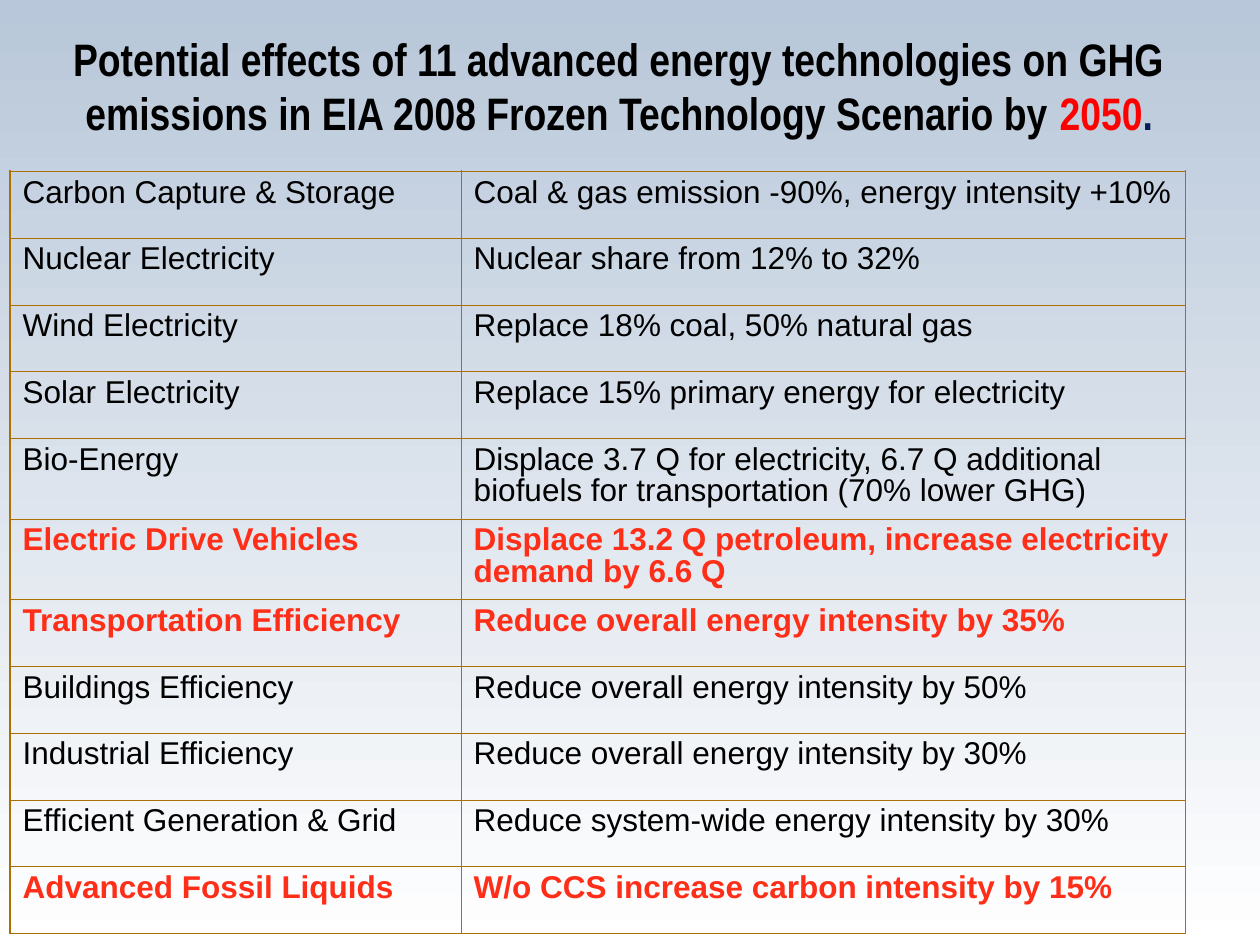
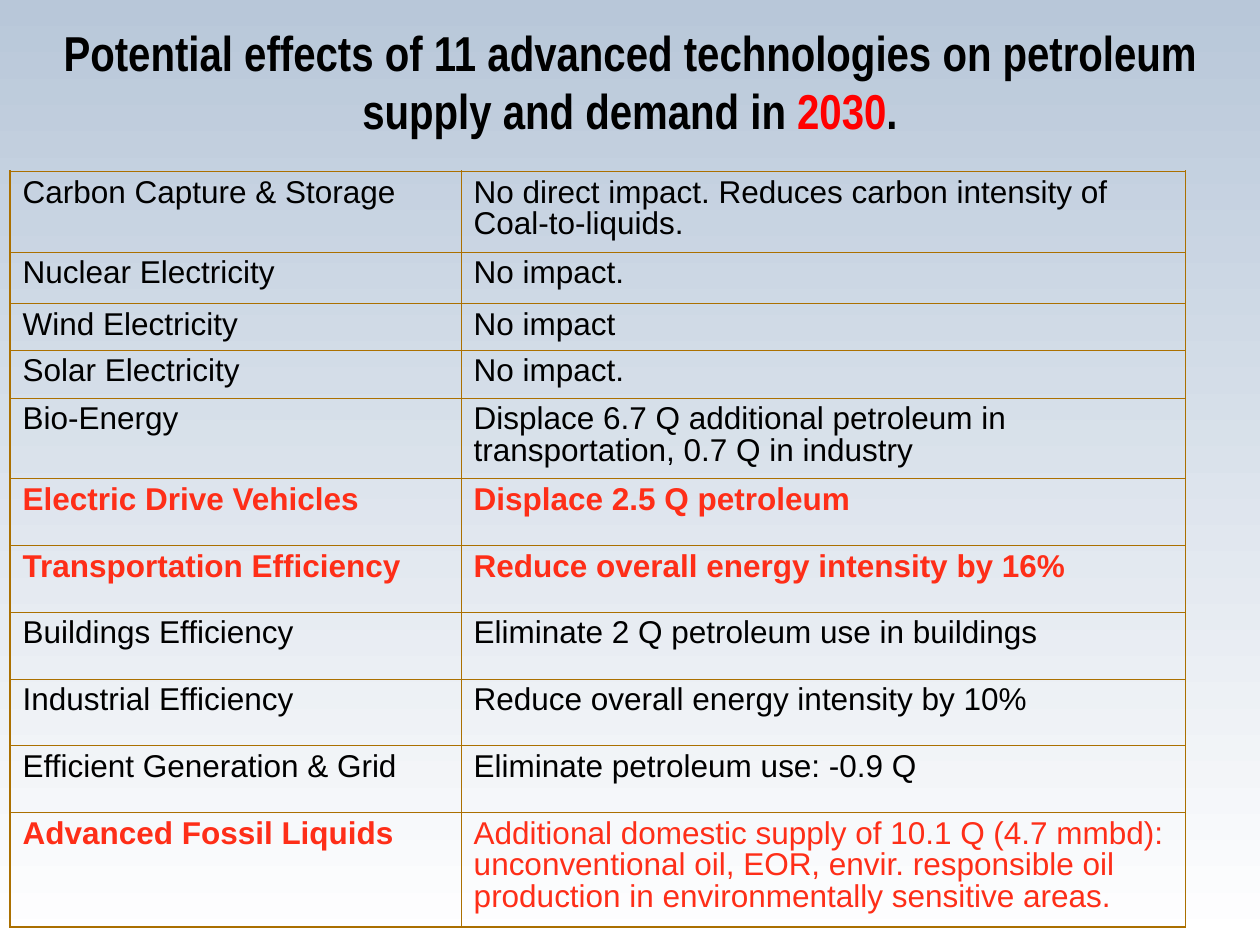
from lxml import etree
from pptx import Presentation
from pptx.dml.color import RGBColor
from pptx.enum.text import MSO_ANCHOR, MSO_AUTO_SIZE, PP_ALIGN
from pptx.oxml.ns import qn
from pptx.util import Inches, Pt

BOTTOM = MSO_ANCHOR.BOTTOM
NO_AUTOFIT = MSO_AUTO_SIZE.NONE
CENTER = PP_ALIGN.CENTER

SKY, WHITE, BLACK, NAVY = "B8C7D9", "FFFFFF", "000000", "081D58"
YEAR_RED, ROW_RED, RULE = "FF0000", "FE2E18", "AB7000"
OUTER_RULE, INNER_RULE = Pt(1.08), Pt(0.45)
TITLE_ONLY = 5

TECHNOLOGIES = [
    "Carbon Capture & Storage", "Nuclear Electricity", "Wind Electricity",
    "Solar Electricity", "Bio-Energy", "Electric Drive Vehicles",
    "Transportation Efficiency", "Buildings Efficiency",
    "Industrial Efficiency", "Efficient Generation & Grid",
    "Advanced Fossil Liquids",
]
HIGHLIGHTED = {
    "Electric Drive Vehicles", "Transportation Efficiency",
    "Advanced Fossil Liquids",
}
COLUMN_WIDTHS = [3.58, 5.75]
TABLE_LEFT, TABLE_TOP = 0.08, 1.36

GHG_EFFECTS = [
    "Coal & gas emission -90%, energy intensity +10%",
    "Nuclear share from 12% to 32%",
    "Replace 18% coal, 50% natural gas",
    "Replace 15% primary energy for electricity",
    "Displace 3.7 Q for electricity, 6.7 Q additional biofuels for "
    "transportation (70% lower GHG)",
    "Displace 13.2 Q petroleum, increase electricity demand by 6.6 Q",
    "Reduce overall energy intensity by 35%",
    "Reduce overall energy intensity by 50%",
    "Reduce overall energy intensity by 30%",
    "Reduce system-wide energy intensity by 30%",
    "W/o CCS increase carbon intensity by 15%",
]
GHG_HEIGHTS = [0.53] * 4 + [0.64] * 2 + [0.53] * 5

PETROLEUM_EFFECTS = [
    "No direct impact. Reduces carbon intensity of Coal-to-liquids.",
    "No impact.",
    "No impact",
    "No impact.",
    "Displace 6.7 Q additional petroleum in transportation, 0.7 Q in industry",
    "Displace 2.5 Q petroleum",
    "Reduce overall energy intensity by 16%",
    "Eliminate 2 Q petroleum use in buildings",
    "Reduce overall energy intensity by 10%",
    "Eliminate petroleum use: -0.9 Q",
    "Additional domestic supply of 10.1 Q (4.7 mmbd): unconventional oil, "
    "EOR, envir. responsible oil production in environmentally sensitive areas.",
]
PETROLEUM_HEIGHTS = [0.64, 0.41, 0.37, 0.38, 0.64] + [0.53] * 5 + [0.91]


def rgb(color):
    """Turn a hex string into a colour."""
    return RGBColor.from_string(color)


def paint_background(master):
    """Give every slide the vertical fade from sky to white."""
    fill = master.background.fill
    fill.gradient()
    fill.gradient_angle = 270
    for stop, color, position in zip(fill.gradient_stops, (SKY, WHITE), (0, 1)):
        stop.color.rgb = rgb(color)
        stop.position = position


def write_title(title, box, size, spans):
    """Place the title and write its coloured spans."""
    title.left, title.top, title.width, title.height = map(Inches, box)
    frame = title.text_frame
    frame.auto_size = NO_AUTOFIT
    frame.word_wrap = True
    frame.vertical_anchor = BOTTOM
    para = frame.paragraphs[0]
    para.alignment = CENTER
    para.font.name = "Arial Narrow"
    para.font.size = Pt(size)
    para.font.bold = True
    for text, color in spans:
        span = para.add_run()
        span.text = text
        span.font.color.rgb = rgb(color)


def rule_cell(cell, outer_sides):
    """Draw the four borders of a cell, heavier on the table's outer edge."""
    properties = cell._tc.get_or_add_tcPr()
    for side in "LRTB":
        width = OUTER_RULE if side in outer_sides else INNER_RULE
        line = etree.SubElement(properties, qn(f"a:ln{side}"), w=str(width))
        fill = etree.SubElement(line, qn("a:solidFill"))
        etree.SubElement(fill, qn("a:srgbClr"), val=RULE)


def write_cell(cell, text, color, bold):
    """Write one table cell with no fill."""
    cell.fill.background()
    cell.text = text
    para = cell.text_frame.paragraphs[0]
    para.line_spacing = 0.9
    para.space_after = Pt(11.2)
    para.font.name = "Arial"
    para.font.size = Pt(18)
    para.font.bold = bold
    para.font.color.rgb = rgb(color)


def add_effects_table(page, left, top, effects, heights, plain_effects):
    """Add the two-column table of technologies and their effects."""
    table = page.shapes.add_table(
        len(effects), len(COLUMN_WIDTHS), Inches(left), Inches(top),
        Inches(sum(COLUMN_WIDTHS)), Inches(sum(heights))).table
    table.first_row = table.horz_banding = False
    for column, width in zip(table.columns, COLUMN_WIDTHS):
        column.width = Inches(width)
    last = len(effects) - 1
    for index, (technology, effect) in enumerate(zip(TECHNOLOGIES, effects)):
        table.rows[index].height = Inches(heights[index])
        edge = {0: "T", last: "B"}.get(index, "")
        marked = technology in HIGHLIGHTED
        color = ROW_RED if marked else BLACK
        for column, (text, side) in enumerate([(technology, "L"), (effect, "R")]):
            cell = table.cell(index, column)
            rule_cell(cell, edge + side)
            write_cell(cell, text, color, marked and text not in plain_effects)


def add_effects_slide(deck, title_box, title_size, spans, effects, heights,
                      plain_effects=()):
    """Add a slide with a title above its table of effects."""
    page = deck.slides.add_slide(deck.slide_layouts[TITLE_ONLY])
    write_title(page.shapes.title, title_box, title_size, spans)
    add_effects_table(page, TABLE_LEFT, TABLE_TOP, effects, heights, plain_effects)


def main():
    """Build the deck."""
    deck = Presentation()
    deck.slide_width, deck.slide_height = Inches(10), Inches(7.5)
    paint_background(deck.slide_master)
    add_effects_slide(
        deck, (0.33, 0.08, 9.17, 1.08), 26,
        [("Potential effects of 11 advanced energy technologies on GHG "
          "emissions in EIA 2008 Frozen Technology Scenario by ", BLACK),
         ("2050", YEAR_RED), (".", NAVY)],
        GHG_EFFECTS, GHG_HEIGHTS)
    add_effects_slide(
        deck, (0, 0.08, 10, 1.08), 28,
        [("Potential effects of 11 advanced technologies on petroleum "
          "supply and demand in ", BLACK),
         ("2030", YEAR_RED), (".", BLACK)],
        PETROLEUM_EFFECTS, PETROLEUM_HEIGHTS, PETROLEUM_EFFECTS[-1:])
    deck.save("out.pptx")


if __name__ == "__main__":
    main()
